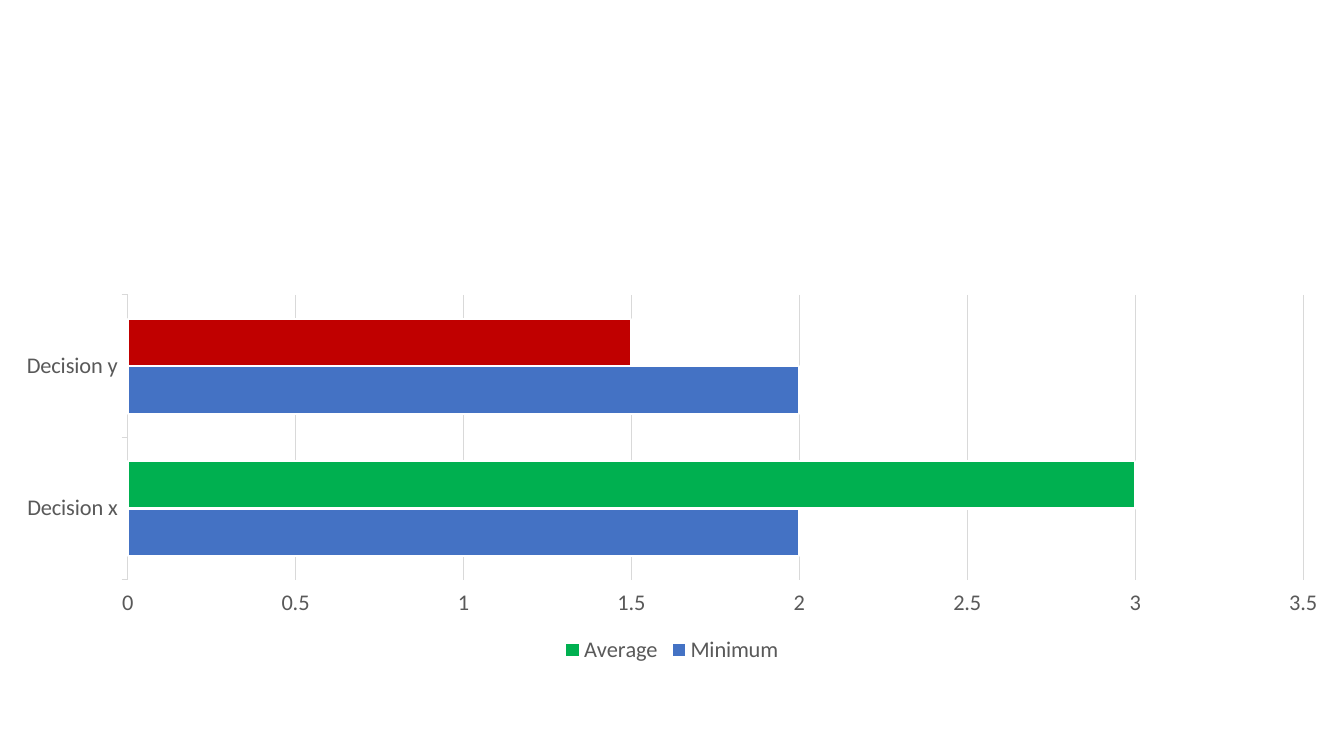
from pptx import Presentation
from pptx.chart.data import CategoryChartData
from pptx.dml.color import RGBColor
from pptx.enum.chart import XL_CHART_TYPE, XL_LEGEND_POSITION, XL_TICK_MARK
from pptx.util import Inches, Pt

COLORS = {
    "minimum": "4472C4",
    "average": "00B050",
    "low_average": "C00000",
    "text": "595959",
    "grid": "D9D9D9",
    "edge": "FFFFFF",
}
FONT_NAME = "Calibri"
FONT_SIZE = 16
DECISIONS = ["Decision x", "Decision y"]
OUTCOMES = {"Minimum": (2, 2), "Average": (3, 1.5)}


def color(name):
    return RGBColor.from_string(COLORS[name])


def style_font(font):
    font.name = FONT_NAME
    font.size = Pt(FONT_SIZE)
    font.bold = False
    font.color.rgb = color("text")


def style_line(line, name, width):
    line.color.rgb = color(name)
    line.width = Pt(width)


def style_bar(bar_format, name):
    bar_format.fill.solid()
    bar_format.fill.fore_color.rgb = color(name)
    style_line(bar_format.line, "edge", 1.5)


def add_decision_chart(page, box):
    data = CategoryChartData()
    data.categories = DECISIONS
    for name, values in OUTCOMES.items():
        data.add_series(name, values)
    chart = page.shapes.add_chart(XL_CHART_TYPE.BAR_CLUSTERED, *box, data).chart
    chart.has_title = False
    style_font(chart.font)

    # Bars, with the weaker average picked out
    plot = chart.plots[0]
    plot.gap_width = 100
    plot.overlap = 0
    plot.vary_by_categories = False
    for series in plot.series:
        series.invert_if_negative = False
        style_bar(series.format, series.name.lower())
    low_average = plot.series[1].points[DECISIONS.index("Decision y")]
    style_bar(low_average.format, "low_average")

    # Axes and gridlines
    for axis in (chart.category_axis, chart.value_axis):
        axis.major_tick_mark = XL_TICK_MARK.OUTSIDE
        axis.minor_tick_mark = XL_TICK_MARK.NONE
        style_font(axis.tick_labels.font)
    style_line(chart.category_axis.format.line, "grid", 0.75)
    chart.value_axis.format.line.fill.background()
    chart.value_axis.has_major_gridlines = True
    style_line(chart.value_axis.major_gridlines.format.line, "grid", 0.75)

    # Legend
    chart.has_legend = True
    chart.legend.position = XL_LEGEND_POSITION.BOTTOM
    chart.legend.include_in_layout = False
    style_font(chart.legend.font)


deck = Presentation()
deck.slide_width, deck.slide_height = Inches(13.33), Inches(7.5)
page = deck.slides.add_slide(deck.slide_layouts[6])

# The chart spans the full width of the slide
chart_box = (
    0,
    int(deck.slide_height * 0.38),
    deck.slide_width,
    int(deck.slide_height * 0.504),
)
add_decision_chart(page, chart_box)
deck.save("out.pptx")
